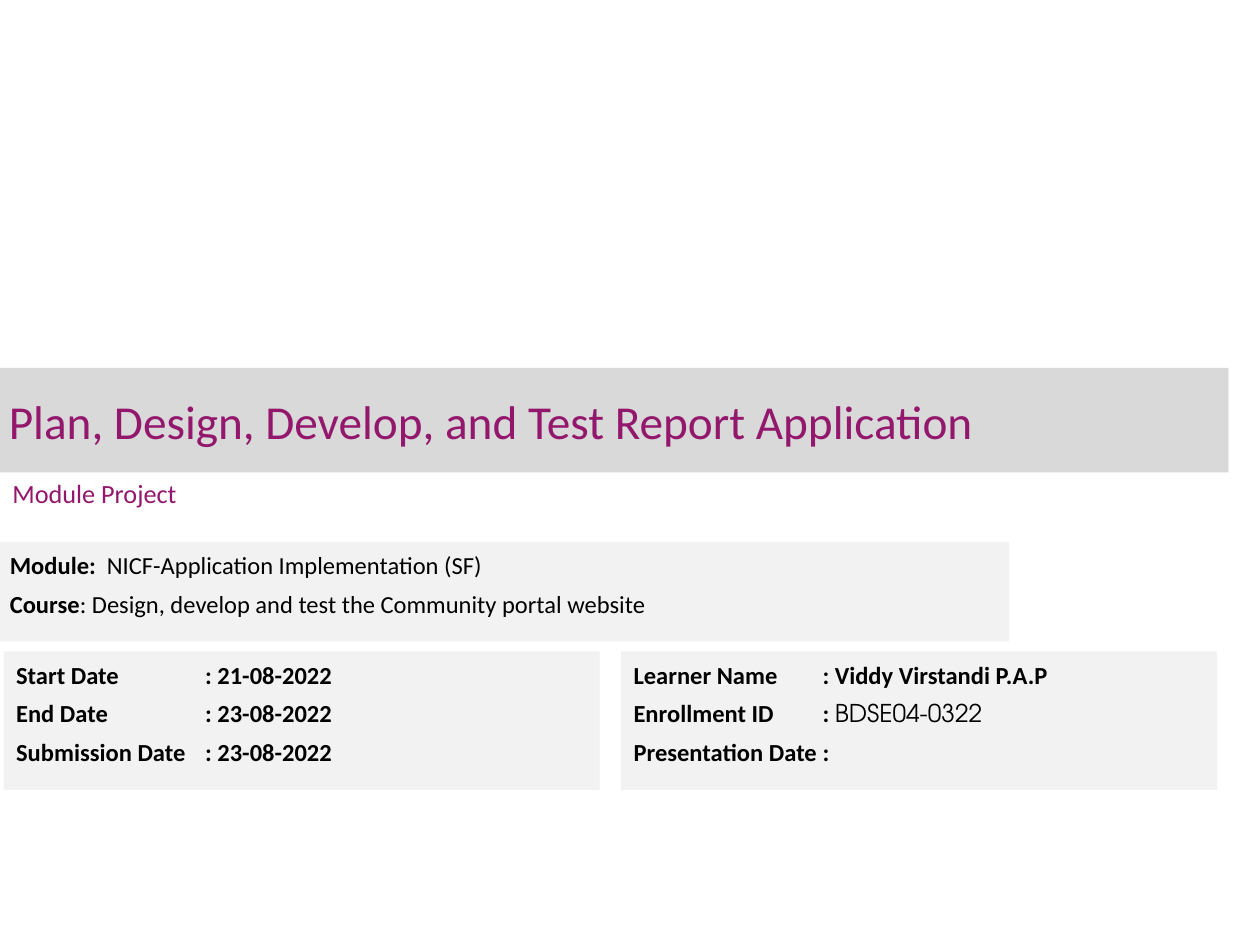
from dataclasses import dataclass

from lxml.etree import SubElement
from pptx import Presentation
from pptx.dml.color import RGBColor
from pptx.enum.shapes import MSO_SHAPE
from pptx.enum.text import MSO_ANCHOR, PP_ALIGN
from pptx.oxml.ns import qn
from pptx.util import Inches, Pt


@dataclass(frozen=True)
class Theme:
    accent: RGBColor = RGBColor(0x93, 0x17, 0x6C)
    ink: RGBColor = RGBColor(0, 0, 0)
    band: RGBColor = RGBColor(0xD9, 0xD9, 0xD9)
    panel: RGBColor = RGBColor(0xF2, 0xF2, 0xF2)
    font: str = "Calibri"
    id_font: str = "TeX Gyre Adventor"
    title: float = 27
    subtitle: float = 15
    body: float = 14
    line: float = 18
    gap: float = 2


THEME = Theme()


@dataclass(frozen=True)
class Box:
    left: float
    top: float
    width: float
    height: float

    def emu(self):
        return [Inches(v) for v in (self.left, self.top, self.width, self.height)]


@dataclass(frozen=True)
class Span:
    text: str
    bold: bool = False
    font: str = THEME.font


@dataclass(frozen=True)
class Panel:
    box: Box
    tab: float
    lines: tuple[tuple[Span, ...], ...]


def add_span(p, span: Span, size: float, color: RGBColor) -> None:
    r = p.add_run()
    r.text = span.text
    r.font.name = span.font
    r.font.size = Pt(size)
    r.font.bold = span.bold
    r.font.color.rgb = color


def add_rect(slide, box: Box, fill: RGBColor):
    s = slide.shapes.add_shape(MSO_SHAPE.RECTANGLE, *box.emu())
    s.shadow.inherit = False
    s.fill.solid()
    s.fill.fore_color.rgb = fill
    s.line.fill.background()
    s.text_frame.word_wrap = True
    return s


def add_heading(sp, text: str, size: float) -> None:
    tf = sp.text_frame
    tf.word_wrap = True
    tf.vertical_anchor = MSO_ANCHOR.MIDDLE
    p = tf.paragraphs[0]
    p.alignment = PP_ALIGN.LEFT
    add_span(p, Span(text), size, THEME.accent)


def add_tab_stop(p, position: float) -> None:
    tabs = SubElement(p._p.get_or_add_pPr(), qn("a:tabLst"))
    SubElement(tabs, qn("a:tab"), pos=str(Inches(position)), algn="l")


def add_panel(slide, panel: Panel) -> None:
    tf = add_rect(slide, panel.box, THEME.panel).text_frame
    tf.vertical_anchor = MSO_ANCHOR.TOP
    for i, line in enumerate(panel.lines):
        p = tf.add_paragraph() if i else tf.paragraphs[0]
        add_tab_stop(p, panel.tab)
        p.alignment = PP_ALIGN.LEFT
        p.line_spacing = Pt(THEME.line)
        p.space_after = Pt(THEME.gap)
        if i:
            p.space_before = Pt(THEME.gap)
        for span in line:
            add_span(p, span, THEME.body, THEME.ink)


PANELS = (
    Panel(Box(0.03, 5.17, 4.73, 1.1), 1.5, (
        (Span("Start Date\t: 21-08-2022", True),),
        (Span("End Date\t: 23-08-2022", True),),
        (Span("Submission Date\t: 23-08-2022", True),),
    )),
    Panel(Box(-0.02, 4.3, 8.03, 0.79), 0.77, (
        (Span("Module:\t", True), Span("NICF-Application Implementation (SF)")),
        (Span("Course", True),
         Span(": Design, develop and test the Community portal website")),
    )),
    Panel(Box(4.93, 5.17, 4.73, 1.1), 1.5, (
        (Span("Learner Name\t: Viddy Virstandi P.A.P", True),),
        (Span("Enrollment ID\t: ", True), Span("BDSE04-0322", font=THEME.id_font)),
        (Span("Presentation Date\t:", True),),
    )),
)


def main() -> None:
    prs = Presentation()
    prs.slide_width, prs.slide_height = Inches(10), Inches(7.5)
    slide = prs.slides.add_slide(prs.slide_layouts[6])

    title = add_rect(slide, Box(0, 2.92, 9.75, 0.83), THEME.band)
    tf = title.text_frame
    tf.margin_left = tf.margin_right = Inches(0.07)
    tf.margin_top = tf.margin_bottom = Inches(0.04)
    add_heading(title, "Plan, Design, Develop, and Test Report Application", THEME.title)

    subtitle = slide.shapes.add_textbox(*Box(0, 3.6, 6.42, 0.62).emu())
    add_heading(subtitle, "Module Project", THEME.subtitle)

    for panel in PANELS:
        add_panel(slide, panel)
    prs.save("out.pptx")


if __name__ == "__main__":
    main()
